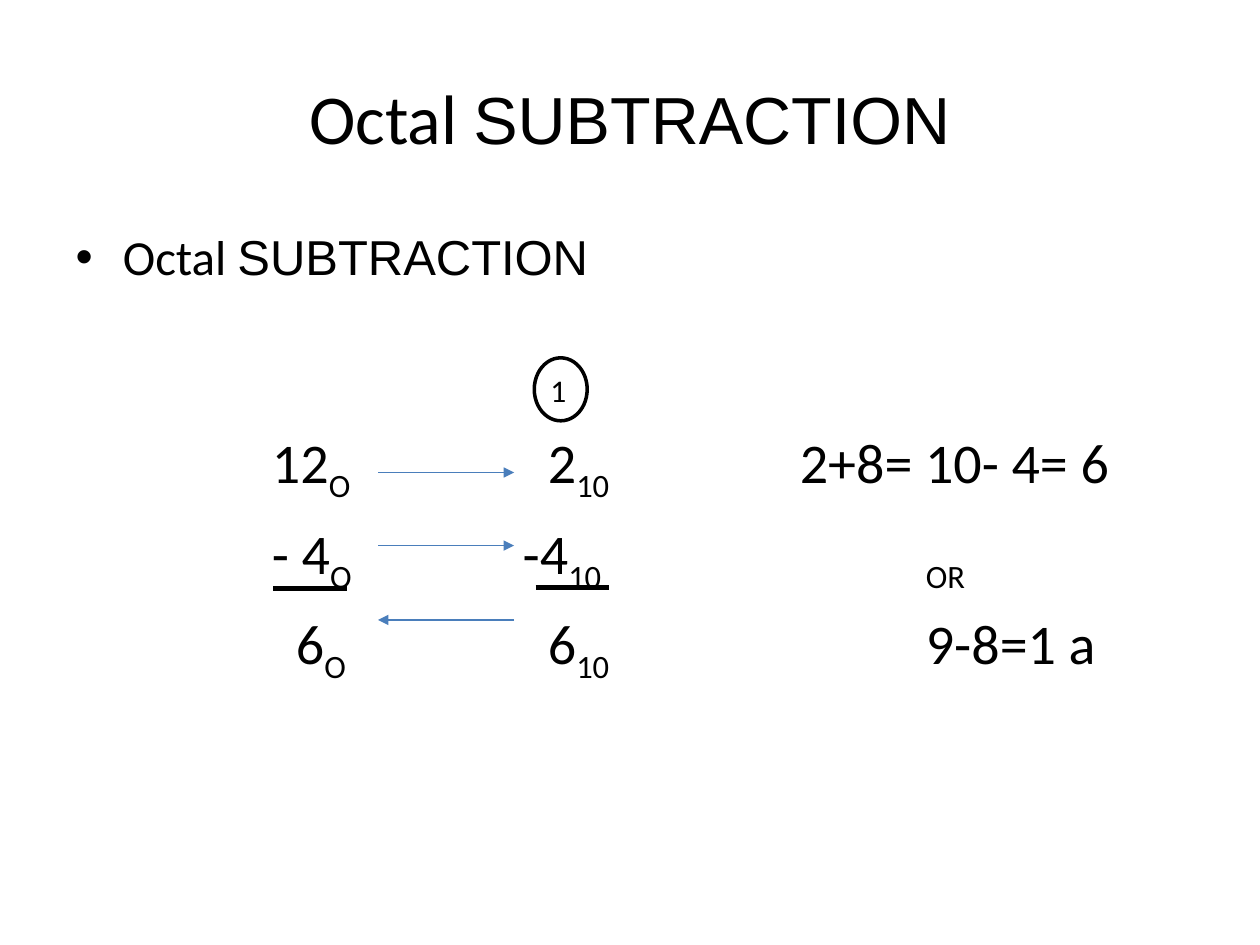
import dataclasses

import pptx
import pptx.dml.color
import pptx.enum.shapes
import pptx.enum.text
import pptx.oxml.ns
import pptx.util
from lxml import etree

Inches = pptx.util.Inches
Pt = pptx.util.Pt
qn = pptx.oxml.ns.qn
BLACK = "000000"
BLUE = "4A7EBB"


@dataclasses.dataclass
class Line:
    x1: float
    y1: float
    x2: float
    y2: float
    color: str
    width: float
    arrow: bool = False


@dataclasses.dataclass
class Row:
    """Tab stops in inches, and runs as (text, size, is subscript)."""
    stops: list[float]
    runs: list[tuple[str, float, bool]]


def rgb(code: str) -> pptx.dml.color.RGBColor:
    return pptx.dml.color.RGBColor.from_string(code)


def write(para, text: str, *, size: float, face: str = "Calibri",
          color: str = BLACK, sub: bool = False) -> None:
    run = para.add_run()
    run.text = text
    run.font.size = Pt(size)
    run.font.name = face
    run.font.color.rgb = rgb(color)
    if sub:
        run.font._element.set("baseline", "-25000")


def set_tabs(para, stops: list[float]) -> None:
    tabs = etree.SubElement(para._p.get_or_add_pPr(), qn("a:tabLst"))
    for stop in stops:
        etree.SubElement(tabs, qn("a:tab"), pos=str(Inches(stop)), algn="l")


def fill_box(holder, box: tuple, sizes: tuple[float, float]) -> None:
    """Place a placeholder and write the heading in its two fonts."""
    holder.left, holder.top, holder.width, holder.height = map(Inches, box)
    para = holder.text_frame.paragraphs[0]
    para.space_before = Pt(0)
    write(para, "Octal ", size=sizes[0])
    write(para, "SUBTRACTION", size=sizes[1], face="Arial")


def draw_line(slide, line: Line) -> None:
    link = slide.shapes.add_connector(
        pptx.enum.shapes.MSO_CONNECTOR.STRAIGHT,
        Inches(line.x1), Inches(line.y1), Inches(line.x2), Inches(line.y2))
    link.line.color.rgb = rgb(line.color)
    link.line.width = Pt(line.width)
    if line.arrow:
        etree.SubElement(link.line._get_or_add_ln(), qn("a:tailEnd"), type="triangle")
    etree.SubElement(link._element.spPr, qn("a:effectLst"))


def draw_rows(slide, rows: list[Row]) -> None:
    box = slide.shapes.add_textbox(Inches(0.25), Inches(2.7), Inches(9.25), Inches(3.64))
    frame = box.text_frame
    frame.word_wrap = True
    for i, row in enumerate(rows):
        para = frame.add_paragraph() if i else frame.paragraphs[0]
        para.space_before = Pt(8 if i else 0)
        set_tabs(para, row.stops)
        for text, size, sub in row.runs:
            write(para, text, size=size, sub=sub)


def draw_ring(slide) -> None:
    ring = slide.shapes.add_shape(pptx.enum.shapes.MSO_SHAPE.OVAL, Inches(4.24),
                                  Inches(2.84), Inches(0.42), Inches(0.5))
    ring.shadow.inherit = False
    ring.fill.background()
    ring.line.color.rgb = rgb(BLACK)
    ring.line.width = Pt(2)


def big(text: str) -> tuple[str, float, bool]:
    return text, 32, False


def low(text: str) -> tuple[str, float, bool]:
    return text, 32, True


ROWS = [
    Row([4.02], [big("\t"), ("1", 18, False)]),
    Row([1.81, 4, 6], [big("\t12"), low("O"), big("\t2"), low("10"),
                       big("\t2+8= 10- 4= 6")]),
    Row([1.81, 3.8, 7], [big("\t- 4"), low("O"), big("\t-4"), low("10\tOR")]),
    Row([2, 4, 7], [big("\t6"), low("O"), big("\t6"), low("10"), big("\t9-8=1 a")]),
]
LEFT, RIGHT = 3, 4.08
LINES = [
    Line(2.17, 4.67, 2.75, 4.67, BLACK, 3),
    Line(4.25, 4.66, 4.83, 4.66, BLACK, 3),
    Line(LEFT, 3.75, RIGHT, 3.75, BLUE, 0.75, True),
    Line(LEFT, 4.33, RIGHT, 4.33, BLUE, 0.75, True),
    Line(RIGHT, 4.92, LEFT, 4.92, BLUE, 0.75, True),
]


def main() -> None:
    deck = pptx.Presentation()
    deck.slide_width, deck.slide_height = Inches(10), Inches(7.5)
    slide = deck.slides.add_slide(deck.slide_layouts[1])
    title, body = slide.shapes.title, slide.placeholders[1]
    fill_box(title, (0.5, 0.3, 9, 1.25), (40, 38))
    title.text_frame.vertical_anchor = pptx.enum.text.MSO_ANCHOR.MIDDLE
    title.text_frame.paragraphs[0].alignment = pptx.enum.text.PP_ALIGN.CENTER
    fill_box(body, (0.5, 1.75, 8.92, 0.75), (28, 28))
    draw_rows(slide, ROWS)
    for line in LINES:
        draw_line(slide, line)
    draw_ring(slide)
    deck.save("out.pptx")


if __name__ == "__main__":
    main()
